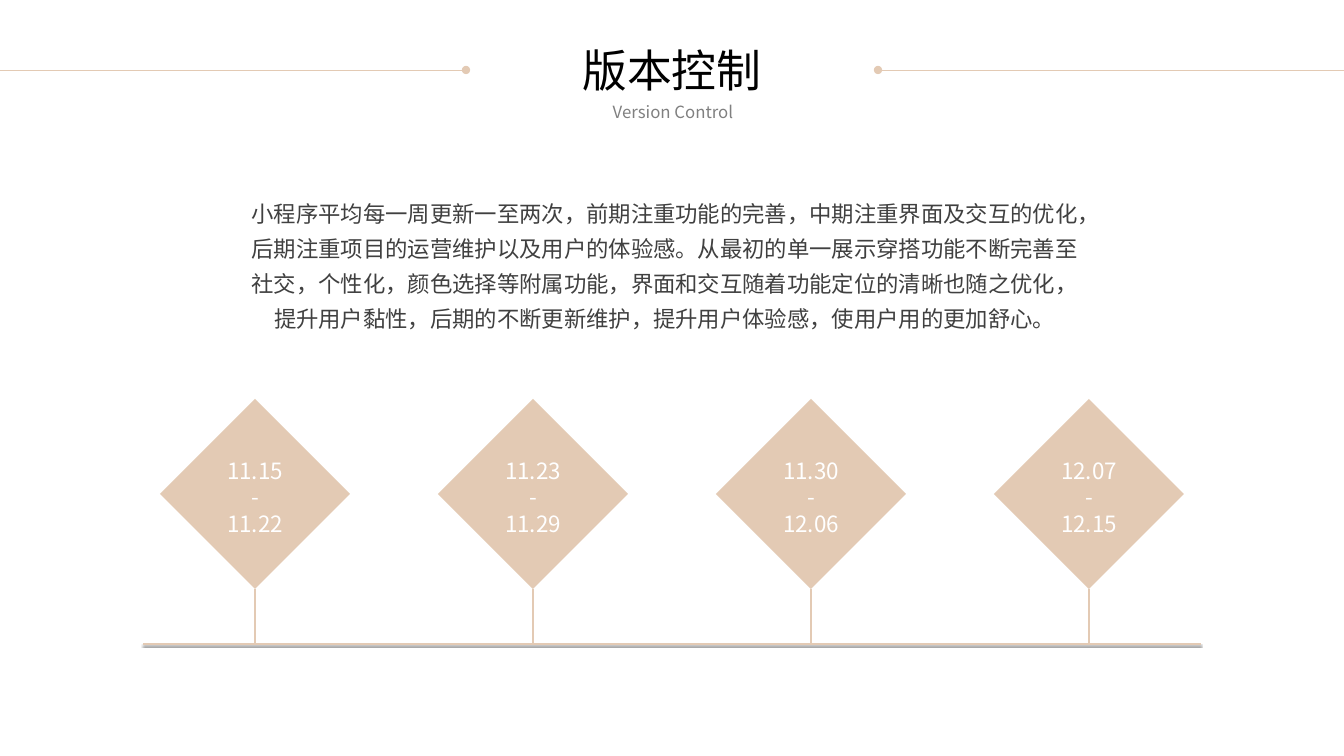
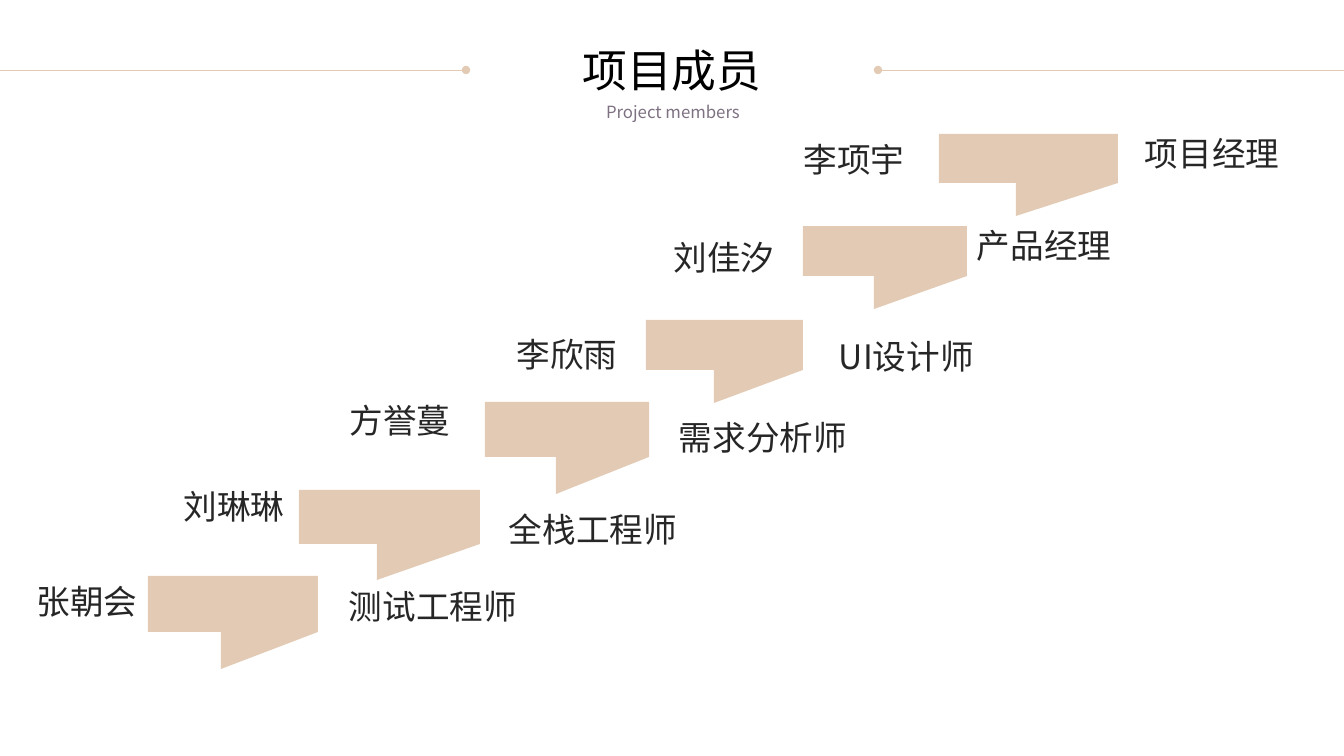
from lxml import etree
from pptx import Presentation
from pptx import util as u
from pptx.dml.color import RGBColor
from pptx.enum import shapes, text
from pptx.oxml import ns

SAND = RGBColor(0xE3, 0xCA, 0xB4)
WHITE = RGBColor(0xFF, 0xFF, 0xFF)
BLACK = RGBColor(0, 0, 0)
GREY = RGBColor(0x80, 0x80, 0x80)
MAUVE = RGBColor(0x7E, 0x71, 0x82)
BODY = RGBColor(0x40, 0x40, 0x40)
INK = RGBColor(0x26, 0x26, 0x26)
FONT = "Noto Sans CJK SC"
WIDTH, HEIGHT = 1344, 756
LEFT, CENTER = text.PP_ALIGN.LEFT, text.PP_ALIGN.CENTER
TOP, MIDDLE = text.MSO_ANCHOR.TOP, text.MSO_ANCHOR.MIDDLE

INTRO = (
    "小程序平均每一周更新一至两次，前期注重功能的完善，中期注重界面及交互的优化，"
    "后期注重项目的运营维护以及用户的体验感。从最初的单一展示穿搭功能不断完善至社交，"
    "个性化，颜色选择等附属功能，界面和交互随着功能定位的清晰也随之优化，提升用户黏性，"
    "后期的不断更新维护，提升用户体验感，使用户用的更加舒心。"
)
VERSIONS = [("11.15", "11.22"), ("11.23", "11.29"), ("11.30", "12.06"), ("12.07", "12.15")]
MEMBERS = [
    ("张朝会", (26, 576), "测试工程师", (339, 600), (148, 576, 170, 93)),
    ("刘琳琳", (173, 481), "全栈工程师", (499, 523), (299, 490, 181, 90)),
    ("方誉蔓", (339, 395), "需求分析师", (669, 431), (485, 402, 164, 92)),
    ("李欣雨", (506, 329), "UI设计师", (829, 350), (646, 320, 157, 83)),
    ("刘佳汐", (663, 232), "产品经理", (967, 239), (803, 226, 164, 83)),
    ("李项宇", (793, 134), "项目经理", (1135, 147), (939, 134, 179, 82)),
]


def px(length):
    return u.Inches(length / 100.8)


class Painter:
    """Draws styled elements on the current slide."""

    def __init__(self):
        self.deck = Presentation()
        self.deck.slide_width, self.deck.slide_height = px(WIDTH), px(HEIGHT)
        self.page = None

    def start(self, title, subtitle, color):
        self.page = self.deck.slides.add_slide(self.deck.slide_layouts[5])
        for edge, dot in ((0, 466), (WIDTH, WIDTH - 466)):
            rule = self.line(edge, 70, dot, 70, 0.5)
            stroke = rule._element.spPr.find(ns.qn("a:ln"))
            etree.SubElement(stroke, ns.qn("a:tailEnd"), type="oval")
        heading = self.page.shapes.title
        heading.left, heading.top = px(572), px(38)
        heading.width, heading.height = px(200), px(65)
        self.set_text(heading, title, 32, BLACK, wrap=False)
        self.label(277, 97, 792, 30, subtitle, 12, color)

    def set_text(self, box, words, size, color, align=CENTER, anchor=TOP, wrap=True, spacing=1.0):
        frame = box.text_frame
        frame.text = words
        frame.word_wrap = wrap
        frame.auto_size = text.MSO_AUTO_SIZE.NONE
        frame.vertical_anchor = anchor
        for para in frame.paragraphs:
            para.alignment = align
            para.line_spacing = spacing
            for span in para.runs:
                span.font.name = FONT
                span.font.size = u.Pt(size)
                span.font.color.rgb = color
                properties = span._r.get_or_add_rPr()
                etree.SubElement(properties, ns.qn("a:ea"), typeface=FONT)

    def label(self, left, top, width, height, words, size, color, **style):
        box = self.page.shapes.add_textbox(px(left), px(top), px(width), px(height))
        self.set_text(box, words, size, color, **style)

    def line(self, x1, y1, x2, y2, weight, shadow=False):
        rule = self.page.shapes.add_connector(
            shapes.MSO_CONNECTOR.STRAIGHT, px(x1), px(y1), px(x2), px(y2))
        rule.line.color.rgb = SAND
        rule.line.width = u.Pt(weight)
        effects = etree.SubElement(rule._element.spPr, ns.qn("a:effectLst"))
        if shadow:
            outer = etree.SubElement(effects, ns.qn("a:outerShdw"), blurRad="6350",
                                     dist="20000", dir="5400000", rotWithShape="0")
            tint = etree.SubElement(outer, ns.qn("a:srgbClr"), val="000000")
            etree.SubElement(tint, ns.qn("a:alpha"), val="40000")
        return rule

    def paint(self, shape):
        shape.shadow.inherit = False
        shape.fill.solid()
        shape.fill.fore_color.rgb = SAND
        shape.line.fill.background()
        return shape

    def diamond(self, left, top, size):
        return self.paint(self.page.shapes.add_shape(
            shapes.MSO_SHAPE.DIAMOND, px(left), px(top), px(size), px(size)))

    def step(self, left, top, width, height):
        right, bottom = left + width, top + height
        notch, shelf = left + round(width * 0.43), top + round(height * 0.6)
        builder = self.page.shapes.build_freeform(px(left), px(top), scale=1.0)
        corners = [(right, top), (right, shelf), (notch, bottom), (notch, shelf), (left, shelf)]
        builder.add_line_segments([(px(x), px(y)) for x, y in corners], close=True)
        self.paint(builder.convert_to_shape())


def add_versions(painter):
    painter.start("版本控制", "Version Control", GREY)
    painter.label(240, 187, 850, 151, INTRO, 16, BODY, spacing=1.3)
    painter.line(143, 644, 1201, 644, 1.5, shadow=True)
    for index, dates in enumerate(VERSIONS):
        left = 160 + 278 * index
        diamond = painter.diamond(left, 399, 190)
        stem = painter.line(left + 95, 589, left + 95, 644, 1.5)
        stem.begin_connect(diamond, 2)
        painter.label(left + 28, 464, 134, 66, "\n-\n".join(dates), 16, WHITE, anchor=MIDDLE)


def add_members(painter):
    painter.start("项目成员", "Project members", MAUVE)
    for name, name_spot, role, role_spot, step in MEMBERS:
        painter.step(*step)
        painter.label(*name_spot, 122, 30, name, 24, INK, wrap=False)
        painter.label(*role_spot, 200, 52, role, 24, INK, align=LEFT, spacing=u.Pt(15))


def main():
    painter = Painter()
    add_versions(painter)
    add_members(painter)
    painter.deck.save("out.pptx")


if __name__ == "__main__":
    main()
